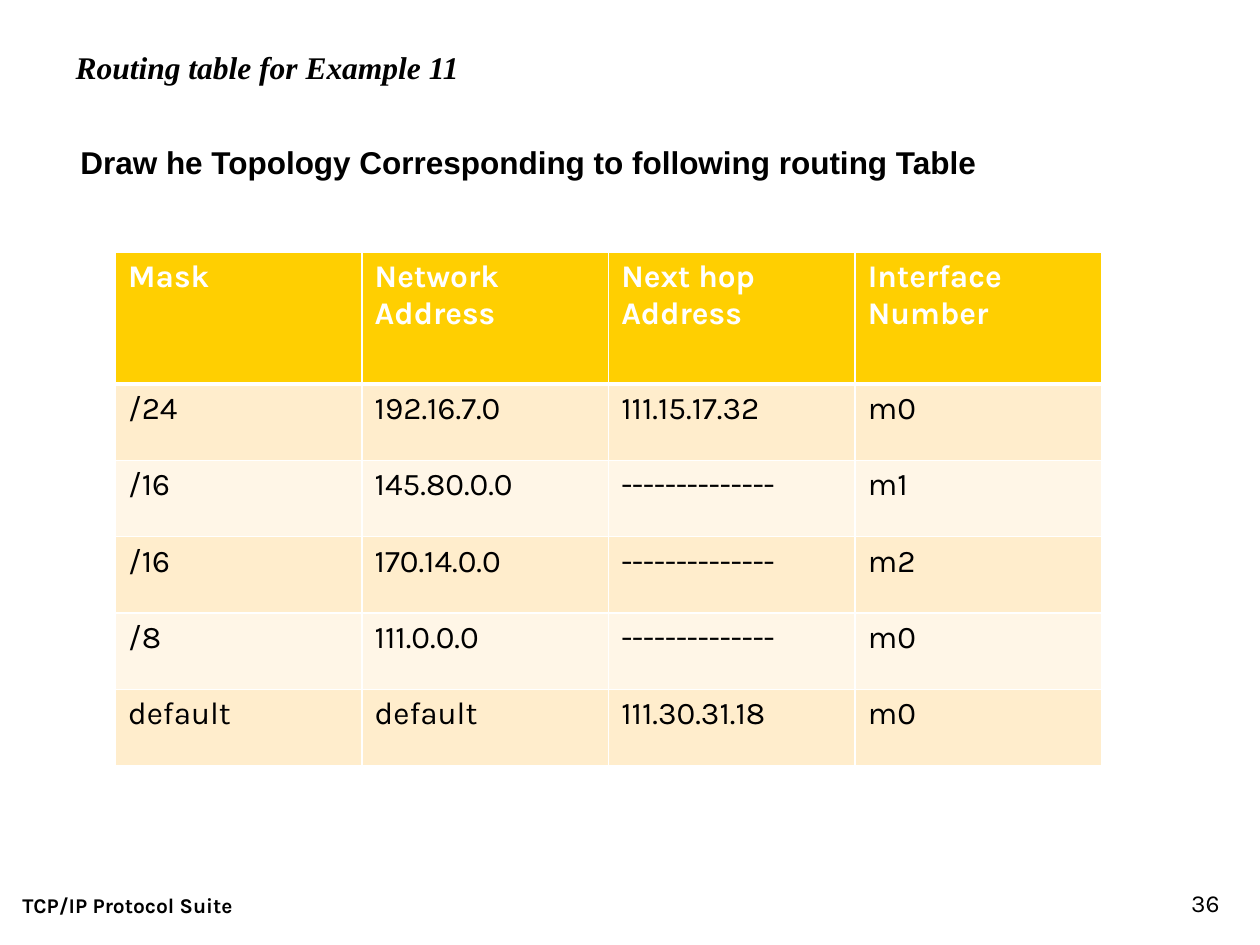
import dataclasses

import lxml.etree
import pptx
import pptx.dml.color
import pptx.enum.text
import pptx.oxml.ns
import pptx.util
from pptx.util import Cm

ALIGN = pptx.enum.text.PP_ALIGN
ANCHOR = pptx.enum.text.MSO_ANCHOR


@dataclasses.dataclass(frozen=True)
class Theme:
    ink: str = "000000"
    paper: str = "FFFFFF"
    header: str = "FFCF01"
    bands: tuple = ("FFEDCC", "FFF6E7")
    title_font: str = "Times New Roman"
    prompt_font: str = "Arial"
    base_font: str = "Karla"
    text_size: int = 18
    number_size: int = 14
    footer_size: int = 12
    rule: int = 1
    header_rule: int = 3


class SlideBuilder:
    """Holds the theme and the current slide."""

    def __init__(self, slide, theme):
        self.slide = slide
        self.theme = theme

    def format_text(self, text_frame, font, size, color=None, bold=False,
                    italic=False, align=ALIGN.LEFT):
        for paragraph in text_frame.paragraphs:
            paragraph.alignment = align
            for run in paragraph.runs:
                run.font.name = font
                run.font.size = pptx.util.Pt(size)
                run.font.bold = bold
                run.font.italic = italic
                run.font.color.rgb = pptx.dml.color.RGBColor.from_string(
                    color or self.theme.ink)

    def title(self, text, left, top, width, height):
        shape = self.slide.shapes.title
        shape.left, shape.top, shape.width, shape.height = left, top, width, height
        frame = shape.text_frame
        frame.text = text
        frame.word_wrap = False
        frame.auto_size = pptx.enum.text.MSO_AUTO_SIZE.NONE
        frame.vertical_anchor = ANCHOR.TOP
        self.format_text(frame, self.theme.title_font, self.theme.text_size,
                         bold=True, italic=True)

    def text(self, text, left, top, width, height, font, size,
             anchor=ANCHOR.TOP, **style):
        frame = self.slide.shapes.add_textbox(left, top, width, height).text_frame
        frame.text = text
        frame.word_wrap = True
        frame.vertical_anchor = anchor
        self.format_text(frame, font, size, **style)

    def cell_borders(self, cell, widths):
        properties = cell._tc.get_or_add_tcPr()
        for side, width in widths.items():
            line = lxml.etree.SubElement(
                properties, pptx.oxml.ns.qn(f"a:{side}"), w=str(pptx.util.Pt(width)))
            fill = lxml.etree.SubElement(line, pptx.oxml.ns.qn("a:solidFill"))
            lxml.etree.SubElement(
                fill, pptx.oxml.ns.qn("a:srgbClr"), val=self.theme.paper)

    def table(self, rows, left, top, column_width, header_height, row_height):
        theme = self.theme
        columns = len(rows[0])
        height = header_height + row_height * (len(rows) - 1)
        table = self.slide.shapes.add_table(
            len(rows), columns, left, top, column_width * columns, height).table
        for column in table.columns:
            column.width = column_width
        for row_index, values in enumerate(rows):
            is_header = row_index == 0
            table.rows[row_index].height = header_height if is_header else row_height
            fill = theme.header if is_header else theme.bands[(row_index - 1) % 2]
            # The heavy rule runs between the header and the first row
            widths = {
                "lnL": theme.rule,
                "lnR": theme.rule,
                "lnT": theme.header_rule if row_index == 1 else theme.rule,
                "lnB": theme.header_rule if is_header else theme.rule,
            }
            for column_index, value in enumerate(values):
                cell = table.cell(row_index, column_index)
                cell.text = value
                self.cell_borders(cell, widths)
                cell.fill.solid()
                cell.fill.fore_color.rgb = pptx.dml.color.RGBColor.from_string(fill)
                self.format_text(cell.text_frame, theme.base_font, theme.text_size,
                                 color=theme.paper if is_header else theme.ink,
                                 bold=is_header)


def main():
    presentation = pptx.Presentation()
    presentation.slide_width = Cm(25.4)
    presentation.slide_height = Cm(19.05)
    slide = presentation.slides.add_slide(presentation.slide_layouts[5])
    theme = Theme()
    builder = SlideBuilder(slide, theme)

    # Footer and slide number
    builder.text("TCP/IP Protocol Suite", Cm(0.2), Cm(17.35), Cm(8.05), Cm(1.27),
                 theme.base_font, theme.footer_size, anchor=ANCHOR.BOTTOM, bold=True)
    builder.text("36", Cm(19.56), Cm(17.35), Cm(5.28), Cm(1.27),
                 theme.base_font, theme.number_size, anchor=ANCHOR.BOTTOM,
                 align=ALIGN.RIGHT)

    # Routing table
    no_hop = "-" * 14
    routes = [
        ("Mask", "Network Address", "Next hop Address", "Interface Number"),
        ("/24", "192.16.7.0", "111.15.17.32", "m0"),
        ("/16", "145.80.0.0", no_hop, "m1"),
        ("/16", "170.14.0.0", no_hop, "m2"),
        ("/8", "111.0.0.0", no_hop, "m0"),
        ("default", "default", "111.30.31.18", "m0"),
    ]
    builder.table(routes, Cm(2.33), Cm(5.08), column_width=Cm(4.97),
                  header_height=Cm(2.66), row_height=Cm(1.54))

    # Title and exercise prompt
    builder.title("Routing table for Example 11", Cm(1.27), Cm(0.85), Cm(8.3), Cm(1.02))
    builder.text("Draw he Topology Corresponding to following routing Table",
                 Cm(1.37), Cm(2.75), Cm(21.15), Cm(1.02),
                 theme.prompt_font, theme.text_size, bold=True)

    presentation.save("out.pptx")


if __name__ == "__main__":
    main()
